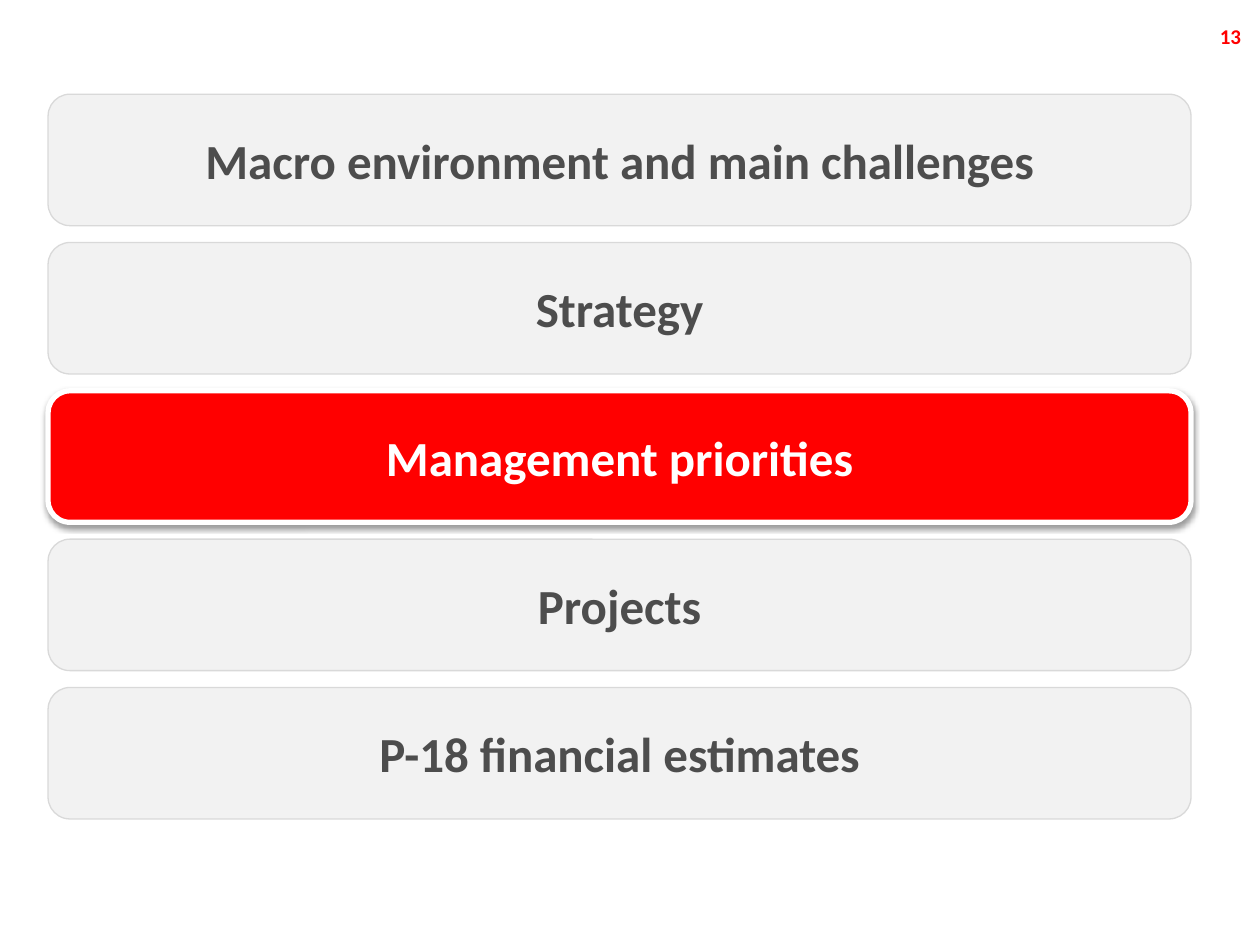
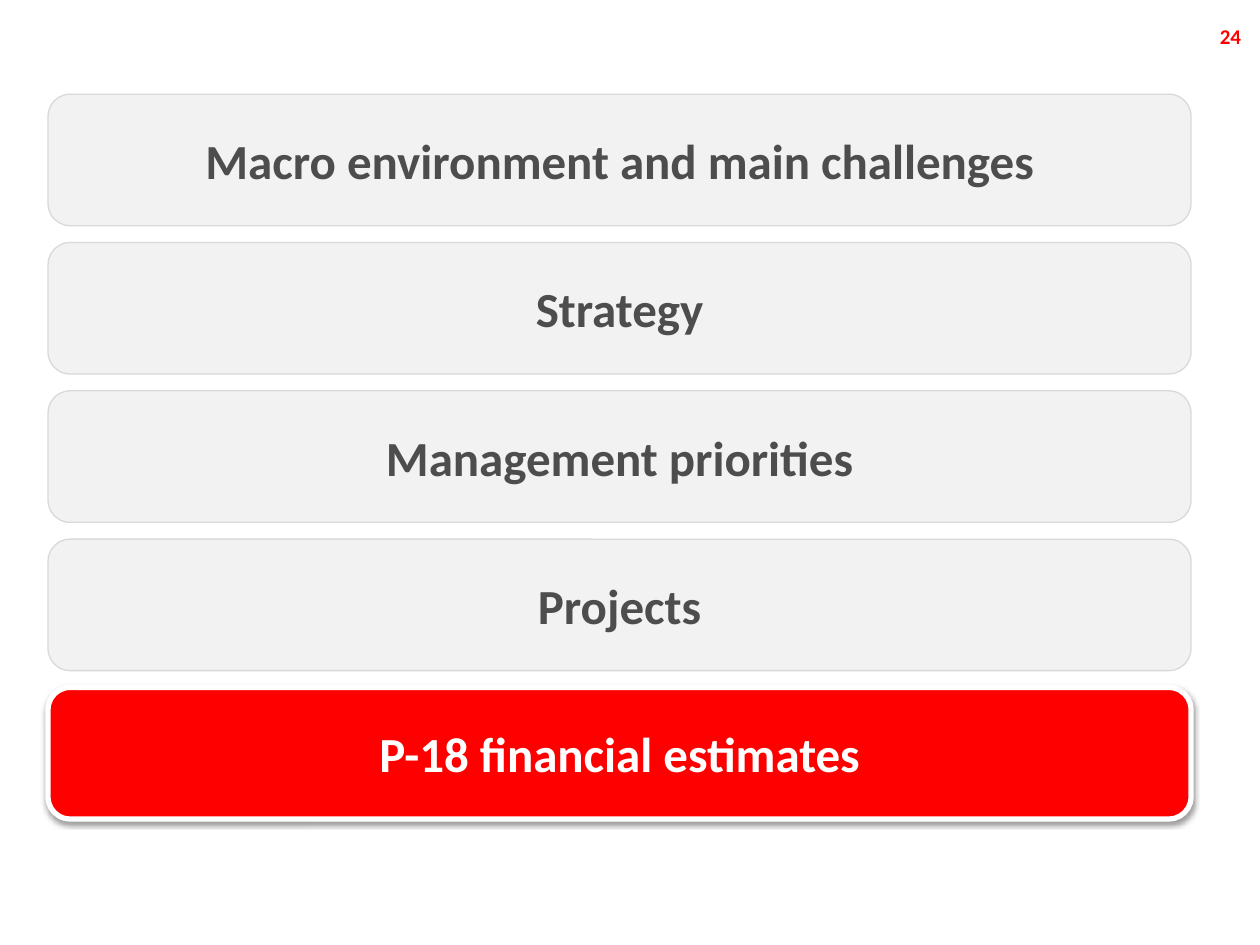
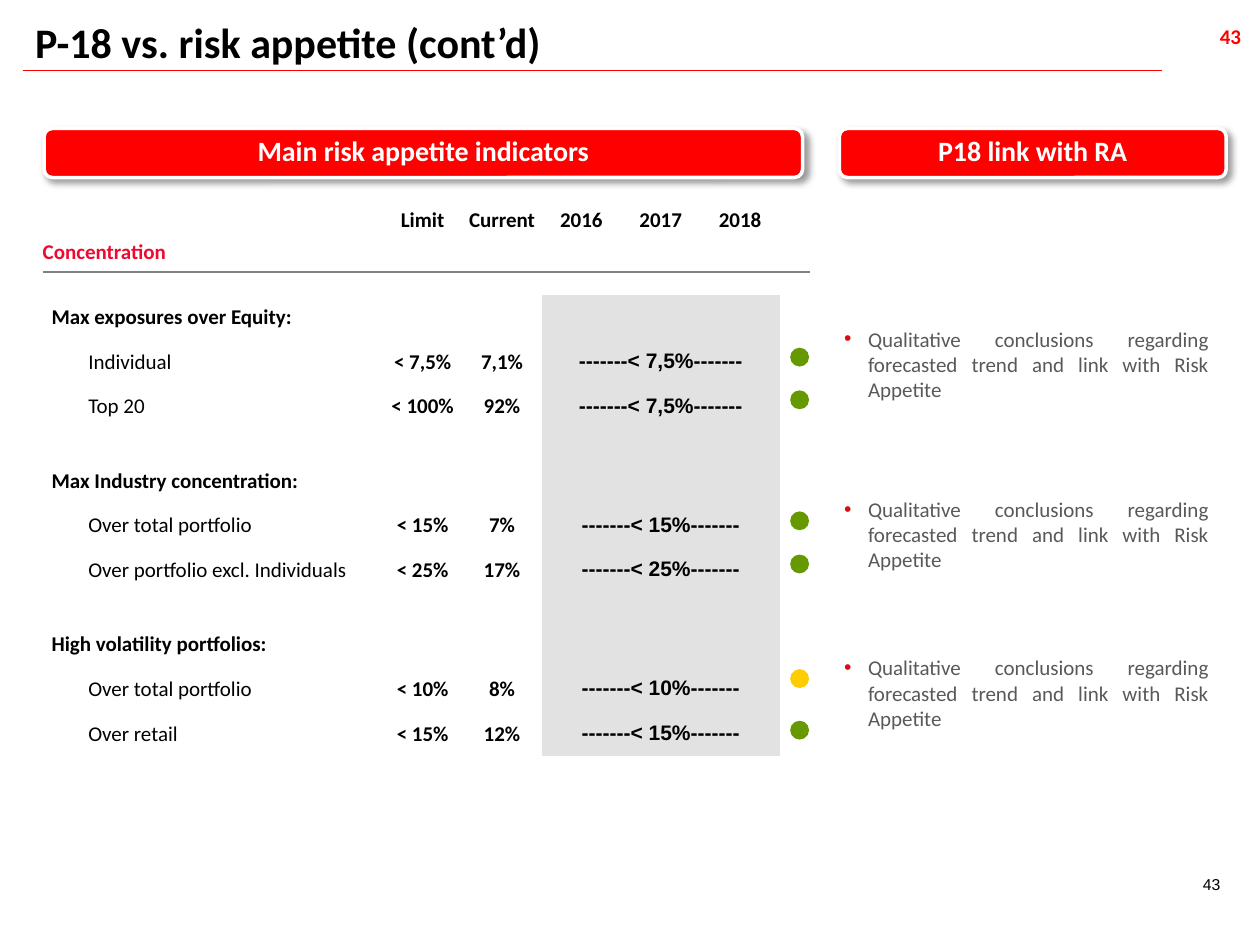
from lxml.etree import SubElement
from pptx import Presentation
from pptx.dml.color import RGBColor
from pptx.enum.shapes import MSO_CONNECTOR, MSO_SHAPE
from pptx.enum.text import MSO_ANCHOR, PP_ALIGN
from pptx.oxml import parse_xml
from pptx.oxml.ns import nsdecls, qn
from pptx.util import Cm, Pt

RED = RGBColor(0xFF, 0x00, 0x00)
CRIMSON = RGBColor(0xED, 0x09, 0x2F)
WHITE = RGBColor(0xFF, 0xFF, 0xFF)
BLACK = RGBColor(0x00, 0x00, 0x00)
PALE = RGBColor(0xF2, 0xF2, 0xF2)
EDGE = RGBColor(0xD9, 0xD9, 0xD9)
DARK = RGBColor(0x4D, 0x4D, 0x4D)
GREY = RGBColor(0x59, 0x59, 0x59)
BAND = RGBColor(0xE3, 0xE2, 0xE2)
GREEN = RGBColor(0x66, 0x99, 0x00)
AMBER = RGBColor(0xFF, 0xCC, 0x00)
PLAIN = "{2D5ABB26-0587-4C30-8999-92F81FD0307C}"  # table style without grid


def write(frame, text, size, color=BLACK, bold=True, align=PP_ALIGN.LEFT, font="Calibri"):
    para = frame.paragraphs[0]
    para.alignment = align
    run = para.add_run()
    run.text = text
    run.font.name = font
    run.font.size = Pt(size)
    run.font.bold = bold
    run.font.color.rgb = color
    return para


def add_bar(slide, area, text, size, look, shade=None):
    fill, edge, width, ink = look
    bar = slide.shapes.add_shape(MSO_SHAPE.ROUNDED_RECTANGLE, *map(Cm, area))
    bar.shadow.inherit = False
    bar.fill.solid()
    bar.fill.fore_color.rgb = fill
    bar.line.color.rgb = edge
    bar.line.width = Pt(width)
    if shade:
        blur, dist, angle, alpha = shade
        glow = bar.element.spPr.find(qn("a:effectLst"))
        glow.append(parse_xml(
            f'<a:outerShdw {nsdecls("a")} blurRad="{Pt(blur)}" dist="{Pt(dist)}" '
            f'dir="{angle * 60000}" algn="ctr" rotWithShape="0"><a:srgbClr val="000000">'
            f'<a:alpha val="{alpha * 1000}"/></a:srgbClr></a:outerShdw>'))
    frame = bar.text_frame
    frame.word_wrap = True
    frame.vertical_anchor = MSO_ANCHOR.MIDDLE
    frame.margin_left = frame.margin_right = Cm(0.15)
    return write(frame, text, size, ink, align=PP_ALIGN.CENTER)


deck = Presentation()
deck.slide_width, deck.slide_height = Cm(25.4), Cm(19.05)

# Slides with their red page number
slides = []
for page in ("13", "24", "43"):
    slide = deck.slides.add_slide(deck.slide_layouts[6])
    box = slide.shapes.add_textbox(Cm(24.1), Cm(0.36), Cm(1.07), Cm(0.79))
    box.text_frame.word_wrap = True
    box.text_frame.margin_left = box.text_frame.margin_right = Cm(0.15)
    write(box.text_frame, page, 12, RED, align=PP_ALIGN.RIGHT)
    slides.append(slide)

# Agenda slides, one topic lit on each
topics = ["Macro environment and main challenges", "Strategy",
          "Management priorities", "Projects", "P-18 financial estimates"]
for slide, lit in zip(slides, (2, 4)):
    for i, topic in enumerate(topics):
        area = (0.97, 1.9 + 2.99 * i, 23.04, 2.65)
        if i == lit:
            add_bar(slide, area, topic, 28, (RED, WHITE, 3, WHITE), (3.1, 1.6, 90, 38))
        else:
            add_bar(slide, area, topic, 28, (PALE, EDGE, 0.75, DARK))

# Risk slide: title and rule
slide = slides[2]
box = slide.shapes.add_textbox(Cm(0.46), Cm(0.2), Cm(24.3), Cm(1.27))
box.text_frame.word_wrap = True
write(box.text_frame, "P-18 vs. risk appetite (cont’d)", 24)
rule = slide.shapes.add_connector(MSO_CONNECTOR.STRAIGHT, Cm(0.46), Cm(1.42), Cm(23.42), Cm(1.42))
rule.line.color.rgb = RED
rule.line.width = Pt(0.75)
SubElement(rule.element.spPr, qn("a:effectLst"))

# Column heads
for left, width, text in ((0.89, 15.29, "Main risk appetite indicators"),
                          (16.92, 7.8, "P18 link with RA")):
    para = add_bar(slide, (left, 2.59, width, 0.99), text, 16,
                   (RED, WHITE, 2, WHITE), (4, 3, 45, 40))
    para.line_spacing = Pt(16)

# Indicator rows: label, limit, current, forecast, dot top, dot colour
heads = ["Limit", "Current", "2016", "2017", "2018"]
groups = [
    ("Max exposures over Equity:",
     [("Individual", "< 7,5%", "7,1%", "< 7,5%", 7.01, GREEN),
      ("Top 20", "< 100%", "92%", "< 7,5%", 7.87, GREEN)]),
    ("Max Industry concentration:",
     [("Over total portfolio", "< 15%", "7%", "< 15%", 10.31, GREEN),
      ("Over portfolio excl. Individuals", "< 25%", "17%", "< 25%", 11.18, GREEN)]),
    ("High volatility portfolios:",
     [("Over total portfolio", "< 10%", "8%", "< 10%", 13.49, AMBER),
      ("Over retail", "< 15%", "12%", "< 15%", 14.53, GREEN)]),
]
cols = [0.18, 6.5, 0.18] + [1.6] * 5 + [0.6]
rows = [0.46, 0.81, 0.46] + [0.9, 0.9, 0.9, 0.6] * 2 + [0.9] * 3

# Bare table with the grey forecast band
grid = slide.shapes.add_table(len(rows), len(cols), Cm(0.86), Cm(4.22), Cm(sum(cols)), Cm(sum(rows)))
table = grid.table
table.first_row = table.horz_banding = False
for style in grid.element.iter(qn("a:tableStyleId")):
    style.text = PLAIN
for col, width in zip(table.columns, cols):
    col.width = Cm(width)
for r, height in enumerate(rows):
    table.rows[r].height = Cm(height)
    for c in range(len(cols)):
        cell = table.cell(r, c)
        cell.margin_left = cell.margin_right = cell.margin_top = cell.margin_bottom = 0
        cell.vertical_anchor = MSO_ANCHOR.MIDDLE
        if r >= 3 and 5 <= c <= 7:
            cell.fill.solid()
            cell.fill.fore_color.rgb = BAND
        else:
            cell.fill.background()
        if r == 1:
            cell._tc.get_or_add_tcPr().insert(0, parse_xml(
                f'<a:lnB {nsdecls("a")} w="{Pt(1.5)}"><a:solidFill>'
                '<a:srgbClr val="808080"/></a:solidFill></a:lnB>'))

# Table text
for c, head in enumerate(heads, 3):
    write(table.cell(0, c).text_frame, head, 12, align=PP_ALIGN.CENTER)
for r in (1, 2):
    table.cell(r, 0).merge(table.cell(r, 1))
write(table.cell(1, 0).text_frame, "Concentration", 12, CRIMSON)
for g, (name, items) in enumerate(groups):
    top = 3 + 4 * g
    write(table.cell(top, 1).text_frame, name, 12)
    for r, (label, limit, now, goal, y, color) in enumerate(items, top + 1):
        table.cell(r, 1).margin_left = Cm(0.74)
        write(table.cell(r, 1).text_frame, label, 12, bold=False)
        write(table.cell(r, 3).text_frame, limit, 12, align=PP_ALIGN.CENTER)
        write(table.cell(r, 4).text_frame, now, 12, align=PP_ALIGN.CENTER)
        table.cell(r, 5).merge(table.cell(r, 7))
        write(table.cell(r, 5).text_frame, f"-------{goal}-------", 12,
              align=PP_ALIGN.CENTER, font="Arial")
        # Status dot
        dot = slide.shapes.add_shape(MSO_SHAPE.OVAL, Cm(15.93), Cm(y), Cm(0.38), Cm(0.38))
        dot.shadow.inherit = False
        dot.fill.solid()
        dot.fill.fore_color.rgb = color
        dot.line.fill.background()
for row in table.rows:
    for cell in row.cells:
        cell.text_frame.paragraphs[0].line_spacing = 0.9
for para in grid.element.iter(qn("a:p")):
    SubElement(para, qn("a:endParaRPr"), sz="800")  # keeps empty rows low

# Conclusions
for top in (6.45, 9.88, 13.08):
    box = slide.shapes.add_textbox(Cm(16.92), Cm(top), Cm(7.7), Cm(2.11))
    box.text_frame.word_wrap = True
    box.text_frame.margin_left = Cm(0.1)
    para = write(box.text_frame,
                 "Qualitative conclusions regarding forecasted trend and link with Risk Appetite",
                 12, GREY, False, PP_ALIGN.JUSTIFY)
    props = para._p.get_or_add_pPr()
    props.set("marL", str(Cm(0.48)))
    props.set("indent", str(-Cm(0.48)))
    tint = SubElement(props, qn("a:buClr"))
    SubElement(tint, qn("a:srgbClr"), val="DB0B11")
    SubElement(props, qn("a:buFont"), typeface="Arial")
    SubElement(props, qn("a:buChar"), char="•")

# Lower page number
box = slide.shapes.add_textbox(Cm(24), Cm(17.5), Cm(1.07), Cm(1.02))
box.text_frame.word_wrap = True
write(box.text_frame, "43", 9, bold=False, font="Arial")

deck.save("out.pptx")
